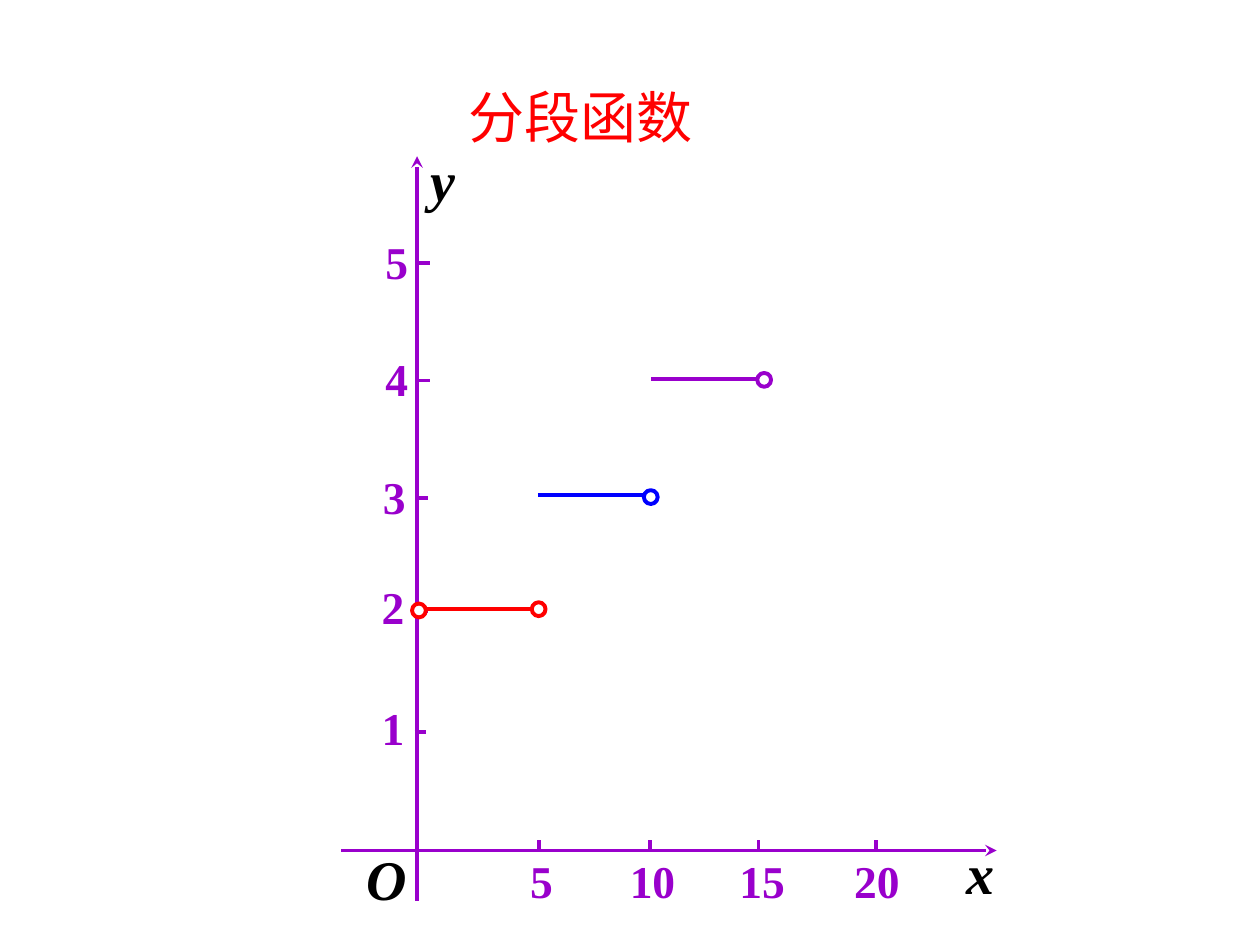
from pptx import Presentation
from pptx.dml.color import RGBColor
from pptx.enum.shapes import MSO_CONNECTOR, MSO_SHAPE
from pptx.enum.text import MSO_AUTO_SIZE
from pptx.oxml.ns import qn
from pptx.util import Emu, Pt
from lxml import etree

STRAIGHT = MSO_CONNECTOR.STRAIGHT
OVAL = MSO_SHAPE.OVAL
FIT_TEXT = MSO_AUTO_SIZE.SHAPE_TO_FIT_TEXT

RED = RGBColor(0xFF, 0x00, 0x00)
BLUE = RGBColor(0x00, 0x00, 0xFF)
PURPLE = RGBColor(0x99, 0x00, 0xCC)
BLACK = RGBColor(0x00, 0x00, 0x00)
WHITE = RGBColor(0xFF, 0xFF, 0xFF)


def px(length):
    """100 px to the inch."""
    return Emu(length * 9144)


class Plot:
    font_name = "Times New Roman"
    stroke = Pt(2.25)
    dot_size = 11

    def __init__(self, slide):
        self.shapes = slide.shapes

    def text(self, words, left, top, width, height, size, color,
             bold=False, italic=False):
        box = self.shapes.add_textbox(px(left), px(top), px(width), px(height))
        frame = box.text_frame
        frame.word_wrap = True
        frame.auto_size = FIT_TEXT
        paragraph = frame.paragraphs[0]
        paragraph.text = words
        font = paragraph.font
        font.name, font.size = self.font_name, Pt(size)
        font.bold, font.italic = bold, italic
        font.color.rgb = color

    def line(self, x1, y1, x2, y2, color, arrow=False):
        connector = self.shapes.add_connector(
            STRAIGHT, px(x1), px(y1), px(x2), px(y2))
        connector.line.color.rgb = color
        connector.line.width = self.stroke
        properties = connector._element.spPr
        if arrow:
            outline = properties.find(qn("a:ln"))
            etree.SubElement(outline, qn("a:tailEnd"), type="stealth")
        etree.SubElement(properties, qn("a:effectLst"))

    def dot(self, left, top, color, fill=None):
        circle = self.shapes.add_shape(
            OVAL, px(left), px(top), px(self.dot_size), px(self.dot_size))
        circle.shadow.inherit = False
        circle.line.color.rgb = color
        circle.line.width = self.stroke
        if fill is None:
            circle.fill.background()
        else:
            circle.fill.solid()
            circle.fill.fore_color.rgb = fill

    def axis_name(self, letter, left, top):
        self.text(letter, left, top, 69, 64, 32, BLACK, bold=True, italic=True)

    def tick_label(self, number, left, top, width):
        self.text(str(number), left, top, width, 54, 26, PURPLE, bold=True)

    def x_tick(self, number, x, label_left, label_width):
        self.line(x, 676, x, 667, PURPLE)
        self.tick_label(number, label_left, 672, label_width)

    def y_tick(self, number, x, y, label_left, label_top):
        self.line(x, y, x + 9, y, PURPLE)
        self.tick_label(number, label_left, label_top, 55)

    def step(self, start, y, dot_top, color):
        end = start + 84
        self.dot(end, dot_top, color)
        self.line(start, y, end, y, color)


def main():
    deck = Presentation()
    deck.slide_width, deck.slide_height = px(1000), px(750)
    plot = Plot(deck.slides.add_slide(deck.slide_layouts[6]))

    # Title
    plot.text("分段函数", 362, 61, 448, 64, 32, RED)

    # Axes
    plot.line(271, 675, 791, 675, PURPLE, arrow=True)
    plot.line(331, 715, 331, 124, PURPLE, arrow=True)
    for letter, left, top in (("O", 281, 665), ("x", 757, 661), ("y", 332, 111)):
        plot.axis_name(letter, left, top)

    # Ticks: number, x, label left, label width
    for tick in ((5, 428, 411, 49), (10, 516, 490, 74),
                 (15, 602, 577, 66), (20, 695, 668, 75)):
        plot.x_tick(*tick)

    # Ticks: number, x, y, label left, label top
    for tick in ((1, 329, 581, 293, 551), (2, 331, 485, 293, 455),
                 (3, 331, 395, 294, 367), (4, 332, 302, 296, 274),
                 (5, 332, 209, 296, 181)):
        plot.y_tick(*tick)

    # Pieces of the function, the first one open at both ends
    plot.dot(327, 479, RED, fill=WHITE)
    for piece in ((338, 483, 478, RED), (427, 393, 389, BLUE),
                  (517, 301, 296, PURPLE)):
        plot.step(*piece)

    deck.save("out.pptx")


if __name__ == "__main__":
    main()
